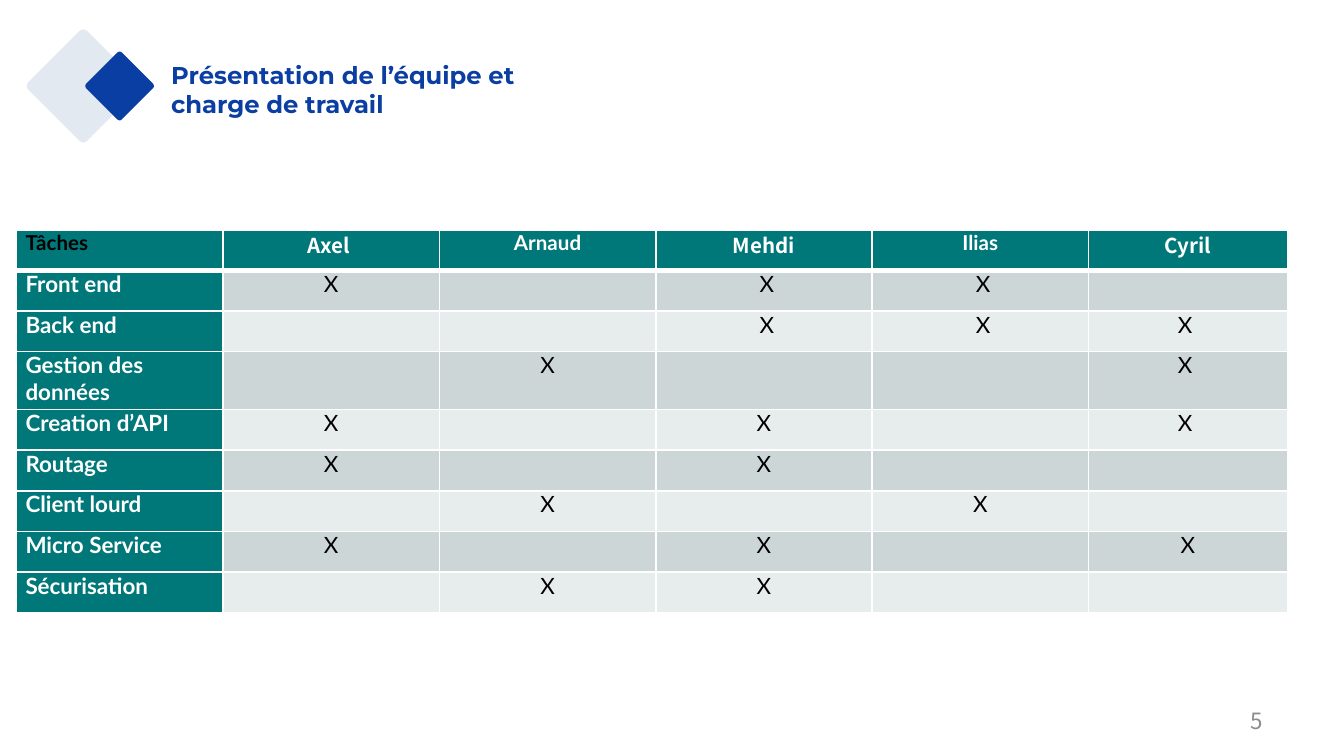
"""Build the team and workload slide: title with diamonds, task matrix, page number."""
from dataclasses import dataclass

from lxml import etree
from pptx import Presentation
from pptx.dml.color import RGBColor
from pptx.enum.text import MSO_ANCHOR, PP_ALIGN
from pptx.oxml.ns import qn
from pptx.util import Inches, Pt

LEFT, CENTER, RIGHT = PP_ALIGN.LEFT, PP_ALIGN.CENTER, PP_ALIGN.RIGHT
MIDDLE = MSO_ANCHOR.MIDDLE
WHITE = RGBColor(0xFF, 0xFF, 0xFF)
BLACK = RGBColor(0x00, 0x00, 0x00)
BLUE = RGBColor(0x0B, 0x3E, 0xA2)
PALE_BLUE = RGBColor(0xE2, 0xE9, 0xF1)
GREY = RGBColor(0x8C, 0x8C, 0x8C)
TEAL = RGBColor(0x00, 0x77, 0x79)
BANDS = (RGBColor(0xCC, 0xD6, 0xD7), RGBColor(0xE7, 0xEC, 0xEC))
LATO, NOTO, MONTSERRAT = "Lato", "Noto Sans CJK SC", "Montserrat"
SLIDE_W = 10
SLIDE_H = SLIDE_W * 9 / 16
TABLE_H, TALL_ROW_H = 2.85, 0.43
TALL_ROW = 3
COL_WIDTHS = (1.54, *[1.61] * 4, 1.48)
MEMBERS = ("Tâches", "Axel ", "Arnaud", "Mehdi", "Ilias", "Cyril")
TASKS = (
    ("Front end", "X", "", " X", " X", ""),
    ("Back end", "", "", " X", " X", "X "),
    ("Gestion des données", "", "X", "", "", "X "),
    ("Creation d’API", "X", "", "X", "", "X "),
    ("Routage", "X", "", "X", "", ""),
    ("Client lourd", "", "X", "", "X", ""),
    ("Micro Service ", "X", "", "X", "", "X"),
    ("Sécurisation", "", "X", "X", "", ""),
)


@dataclass(frozen=True)
class Diamond:
    """Soft-cornered diamond by centre and width in inches."""
    cx: float
    cy: float
    width: float
    color: RGBColor


@dataclass(frozen=True)
class Style:
    """Look of one run of text."""
    size: float
    name: str
    color: RGBColor
    bold: bool = False
    align: PP_ALIGN = LEFT


@dataclass(frozen=True)
class Label:
    """Text box placed by percentages of the slide's width and height."""
    text: str
    x: float
    y: float
    w: float
    h: float
    inset: float
    style: Style


DIAMONDS = (Diamond(0.62, 0.64, 0.84, PALE_BLUE), Diamond(0.89, 0.64, 0.51, BLUE))
LABELS = (
    Label("Présentation de l’équipe et charge de travail", 12.74, 8.05, 32.5, 7.47,
          0, Style(13, MONTSERRAT, BLUE, True)),
    Label("5", 71.65, 92.68, 23.3, 5.33, 0.1, Style(12, NOTO, GREY, align=RIGHT)),
)


def draw_diamond(s, d: Diamond) -> None:
    """Draw a diamond whose four tips are rounded off."""
    half = d.width / 2
    tip = [(-0.03, 0.01), (-0.01, 0), (0.01, 0), (0.03, 0.01)]
    corner = [(a * d.width, b * d.width - half) for a, b in tip]
    points = []
    for _ in range(4):
        points += corner
        corner = [(-y, x) for x, y in corner]
    points = [(Inches(d.cx + x), Inches(d.cy + y)) for x, y in points]
    builder = s.shapes.build_freeform(*points[0])
    builder.add_line_segments(points[1:], close=True)
    sp = builder.convert_to_shape()
    sp.shadow.inherit = False
    sp.fill.solid()
    sp.fill.fore_color.rgb = d.color
    sp.line.fill.background()


def write(p, text: str, style: Style) -> None:
    """Fill a paragraph with one styled run."""
    p.alignment = style.align
    r = p.add_run()
    r.text = text
    values = {"size": Pt(style.size), "name": style.name, "bold": style.bold}
    for key, value in values.items():
        setattr(r.font, key, value)
    r.font.color.rgb = style.color


def draw_label(s, label: Label) -> None:
    """Draw a text box centred vertically."""
    sp = s.shapes.add_textbox(
        Inches(label.x * SLIDE_W / 100), Inches(label.y * SLIDE_H / 100),
        Inches(label.w * SLIDE_W / 100), Inches(label.h * SLIDE_H / 100))
    tf = sp.text_frame
    values = {"word_wrap": True, "vertical_anchor": MIDDLE,
              "margin_left": Inches(label.inset), "margin_right": Inches(label.inset)}
    for key, value in values.items():
        setattr(tf, key, value)
    write(tf.paragraphs[0], label.text, label.style)


def add_border(cell, side: str, width: float) -> None:
    """Add a white line on one side of a cell."""
    ln = etree.SubElement(cell._tc.get_or_add_tcPr(), qn(f"a:ln{side}"), w=str(Pt(width)))
    fill = etree.SubElement(ln, qn("a:solidFill"))
    etree.SubElement(fill, qn("a:srgbClr"), val=str(WHITE))


def cell_style(row: int, col: int) -> Style:
    """Choose the text style from the place in the table."""
    if row == 0:
        return Style(11, LATO if col % 2 == 0 else NOTO, WHITE if col else BLACK, True,
                     CENTER if col else LEFT)
    if col == 0:
        return Style(12, LATO, WHITE, True)
    return Style(12, LATO, BLACK, align=CENTER)


def draw_cell(cell, text: str, row: int, col: int) -> None:
    """Set borders, fill, margins and text of a cell."""
    for side in "LRTB":
        thick = (row, side) in ((0, "B"), (1, "T"))
        add_border(cell, side, 3 if thick else 1)
    cell.fill.solid()
    cell.fill.fore_color.rgb = TEAL if 0 in (row, col) else BANDS[(row - 1) % 2]
    values = {"margin_left": 0.07, "margin_right": 0.07, "margin_top": 0, "margin_bottom": 0}
    for key, value in values.items():
        setattr(cell, key, Inches(value))
    p = cell.text_frame.paragraphs[0]
    if text:
        write(p, text, cell_style(row, col))
    else:
        etree.SubElement(p._p, qn("a:endParaRPr"), sz="1200")


def draw_table(s) -> None:
    """Draw the matrix of tasks and team members."""
    rows = (MEMBERS, *TASKS)
    row_h = (TABLE_H - TALL_ROW_H) / len(TASKS)
    table = s.shapes.add_table(
        len(rows), len(MEMBERS), Inches(0.12), Inches(1.71),
        Inches(sum(COL_WIDTHS)), Inches(TABLE_H)).table
    for column, width in zip(table.columns, COL_WIDTHS):
        column.width = Inches(width)
    for i, texts in enumerate(rows):
        table.rows[i].height = Inches(TALL_ROW_H if i == TALL_ROW else row_h)
        for j, text in enumerate(texts):
            draw_cell(table.cell(i, j), text, i, j)


def main() -> None:
    """Build and save the slide."""
    prs = Presentation()
    prs.slide_width, prs.slide_height = Inches(SLIDE_W), Inches(SLIDE_H)
    s = prs.slides.add_slide(prs.slide_layouts[6])
    for d in DIAMONDS:
        draw_diamond(s, d)
    for label in LABELS:
        draw_label(s, label)
    draw_table(s)
    prs.save("out.pptx")


if __name__ == "__main__":
    main()
